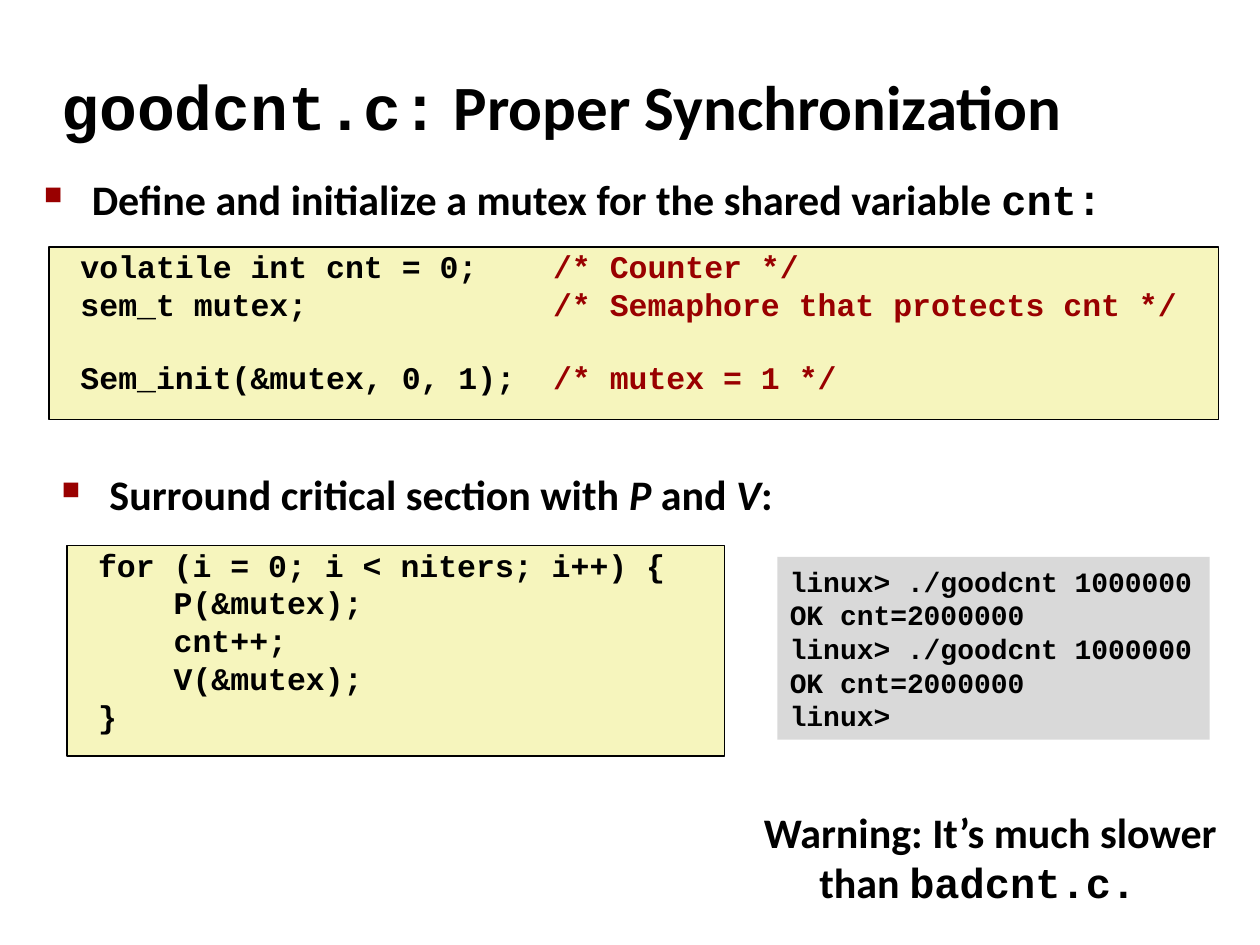
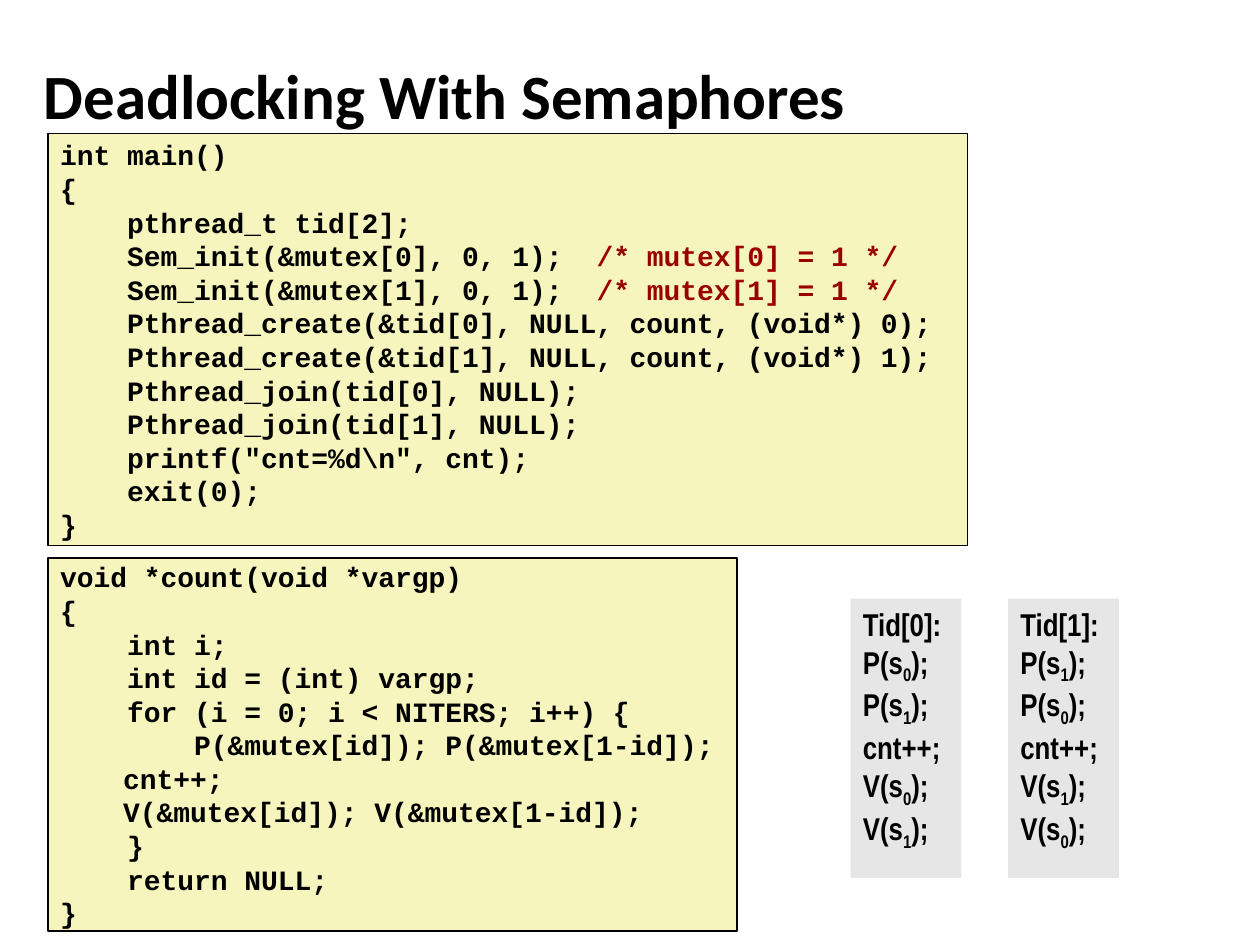
from lxml.etree import SubElement
from pptx import Presentation
from pptx.dml.color import RGBColor
from pptx.enum.shapes import MSO_SHAPE
from pptx.enum.text import MSO_ANCHOR, MSO_AUTO_SIZE, PP_ALIGN
from pptx.oxml.ns import qn
from pptx.util import Inches, Pt

BLACK, RED, CREAM = "000000", "990000", "F6F5BD"
PROSE, MONO, NARROW = "Calibri", "Courier New", "Arial Narrow"
CODE_FRAME = {"margin_top": 0, "margin_bottom": 0}
GROW = {"auto_size": MSO_AUTO_SIZE.SHAPE_TO_FIT_TEXT}
MIDDLE = {"vertical_anchor": MSO_ANCHOR.MIDDLE}
NO_WRAP = {"word_wrap": False}
MONO_RUN = {"name": MONO}
ITALIC = {"italic": True}


def rgb(value):
    return RGBColor.from_string(value)


def set_values(target, values):
    for name, value in values.items():
        setattr(target, name, value)


def split_comment(line):
    code, mark, comment = line.partition("/*")
    return [(code, {})] + ([(mark + comment, {"color": RED})] if mark else [])


class Deck:
    def __init__(self):
        self.presentation = Presentation()
        set_values(self.presentation, {"slide_width": Inches(10), "slide_height": Inches(7.5)})
        self.slide = None

    def new_slide(self):
        self.slide = self.presentation.slides.add_slide(self.presentation.slide_layouts[6])

    def fill_frame(self, frame, paragraphs, font, size, settings):
        set_values(frame, {"word_wrap": True, "vertical_anchor": MSO_ANCHOR.TOP, **settings})
        for index, runs in enumerate(paragraphs):
            paragraph = frame.paragraphs[0] if index == 0 else frame.add_paragraph()
            paragraph.alignment = PP_ALIGN.LEFT
            for words, changes in runs:
                run = paragraph.add_run()
                run.text = words
                style = {"name": font, "size": Pt(size), "bold": True, **changes}
                run.font.color.rgb = rgb(style.pop("color", BLACK))
                baseline = style.pop("baseline", None)
                set_values(run.font, style)
                if baseline:
                    run._r.get_or_add_rPr().set("baseline", str(baseline))
        return frame.paragraphs

    def text(self, box, runs, size, settings):
        frame = self.slide.shapes.add_textbox(*map(Inches, box)).text_frame
        return self.fill_frame(frame, [runs], PROSE, size, settings)[0]

    def hang(self, paragraph, indent):
        properties = paragraph._p.get_or_add_pPr()
        properties.set("marL", str(Inches(indent)))
        properties.set("indent", str(-Inches(indent)))
        return properties

    def title(self, left, top, runs):
        self.hang(self.text((left, top, 8.3, 0.83), runs, 36, MIDDLE), 0.13)

    def bullet(self, left, top, runs):
        properties = self.hang(self.text((left, top, 9.09, 0.5), runs, 24, {}), 0.38)
        color = SubElement(properties, qn("a:buClr"))
        SubElement(color, qn("a:srgbClr")).set("val", RED)
        SubElement(properties, qn("a:buSzPct")).set("val", "60000")
        SubElement(properties, qn("a:buChar")).set("char", "■")

    def note(self, box, runs):
        self.text(box, runs, 24, GROW).alignment = PP_ALIGN.CENTER

    def panel(self, box, fill, paragraphs, font, size, settings, outlined=False):
        panel = self.slide.shapes.add_shape(MSO_SHAPE.RECTANGLE, *map(Inches, box))
        panel.shadow.inherit = False
        panel.fill.solid()
        panel.fill.fore_color.rgb = rgb(fill)
        if outlined:
            panel.line.color.rgb = rgb(BLACK)
            panel.line.width = Pt(1)
        else:
            panel.line.fill.background()
        return self.fill_frame(panel.text_frame, paragraphs, font, size, settings)

    def code(self, box, listing, size, settings):
        lines = [split_comment(line) for line in listing.strip("\n").split("\n")]
        return self.panel(box, CREAM, lines, MONO, size, {**CODE_FRAME, **settings}, True)

    def terminal(self, box, listing):
        lines = [[(line, {})] for line in listing.split("\n")]
        self.panel(box, "D9D9D9", lines, MONO, 16, {**MIDDLE, **GROW, **NO_WRAP})

    def thread(self, left, number):
        def call(operation, semaphore):
            return [(f"{operation}(s", {}), (str(semaphore), {"baseline": -25000}), (");", {})]

        order = (number, 1 - number)
        steps = [[(f"Tid[{number}]:", {})]]
        steps += [call("P", semaphore) for semaphore in order]
        steps.append([("cnt++;", {})])
        steps += [call("V", semaphore) for semaphore in order]
        self.panel((left, 4.75, 0.88, 2.22), "E6E6E6", steps, NARROW, 18, GROW)


DECLARATIONS = """
 volatile int cnt = 0;    /* Counter */
 sem_t mutex;             /* Semaphore that protects cnt */
 Sem_init(&mutex, 0, 1);  /* mutex = 1 */
"""

CRITICAL_SECTION = """
 for (i = 0; i < niters; i++) {
     P(&mutex);
     cnt++;
     V(&mutex);
 }
"""

SESSION = "linux> ./goodcnt 1000000\nOK cnt=2000000\n" * 2 + "linux>"

MAIN_FUNCTION = r"""
int main()
{
    pthread_t tid[2];
    Sem_init(&mutex[0], 0, 1);  /* mutex[0] = 1 */
    Sem_init(&mutex[1], 0, 1);  /* mutex[1] = 1 */
    Pthread_create(&tid[0], NULL, count, (void*) 0);
    Pthread_create(&tid[1], NULL, count, (void*) 1);
    Pthread_join(tid[0], NULL);
    Pthread_join(tid[1], NULL);
    printf("cnt=%d\n", cnt);
    exit(0);
}
"""

COUNT_FUNCTION = """
void *count(void *vargp)
{
    int i;
    int id = (int) vargp;
    for (i = 0; i < NITERS; i++) {
        P(&mutex[id]); P(&mutex[1-id]);
\tcnt++;
\tV(&mutex[id]); V(&mutex[1-id]);
    }
    return NULL;
}
"""


def synchronization(deck):
    deck.new_slide()
    deck.title(0.39, 0.42, [("goodcnt.c:", MONO_RUN), (" Proper Synchronization", {})])
    deck.bullet(0.25, 1.33, [("Define and initialize a mutex for the shared variable ", {}),
                             ("cnt:", MONO_RUN)])
    declarations = deck.code((0.39, 1.96, 9.28, 1.37), DECLARATIONS, 18, {})
    declarations[-1].space_before = Pt(20.4)
    deck.bullet(0.39, 3.67, [("Surround critical section with ", {}), ("P", ITALIC),
                             (" and ", {}), ("V", ITALIC), (":", {})])
    deck.code((0.53, 4.33, 5.22, 1.67), CRITICAL_SECTION, 18, {})
    deck.terminal((6.17, 4.42, 3.43, 1.45), SESSION)
    deck.note((5.92, 6.35, 3.88, 0.91), [("Warning: It’s much slower than ", {}),
                                         ("badcnt.c. ", MONO_RUN)])


def deadlock(deck):
    deck.new_slide()
    deck.title(0.25, 0.33, [("Deadlocking With Semaphores", {})])
    fitted = {**MIDDLE, **GROW, **NO_WRAP}
    deck.code((0.38, 1.06, 7.3, 3.27), MAIN_FUNCTION, 16, fitted)
    deck.code((0.38, 4.43, 5.47, 2.96), COUNT_FUNCTION, 16, fitted)
    for number in range(2):
        deck.thread(6.75 + 1.25 * number, number)


def main():
    deck = Deck()
    synchronization(deck)
    deadlock(deck)
    deck.presentation.save("out.pptx")


if __name__ == "__main__":
    main()
